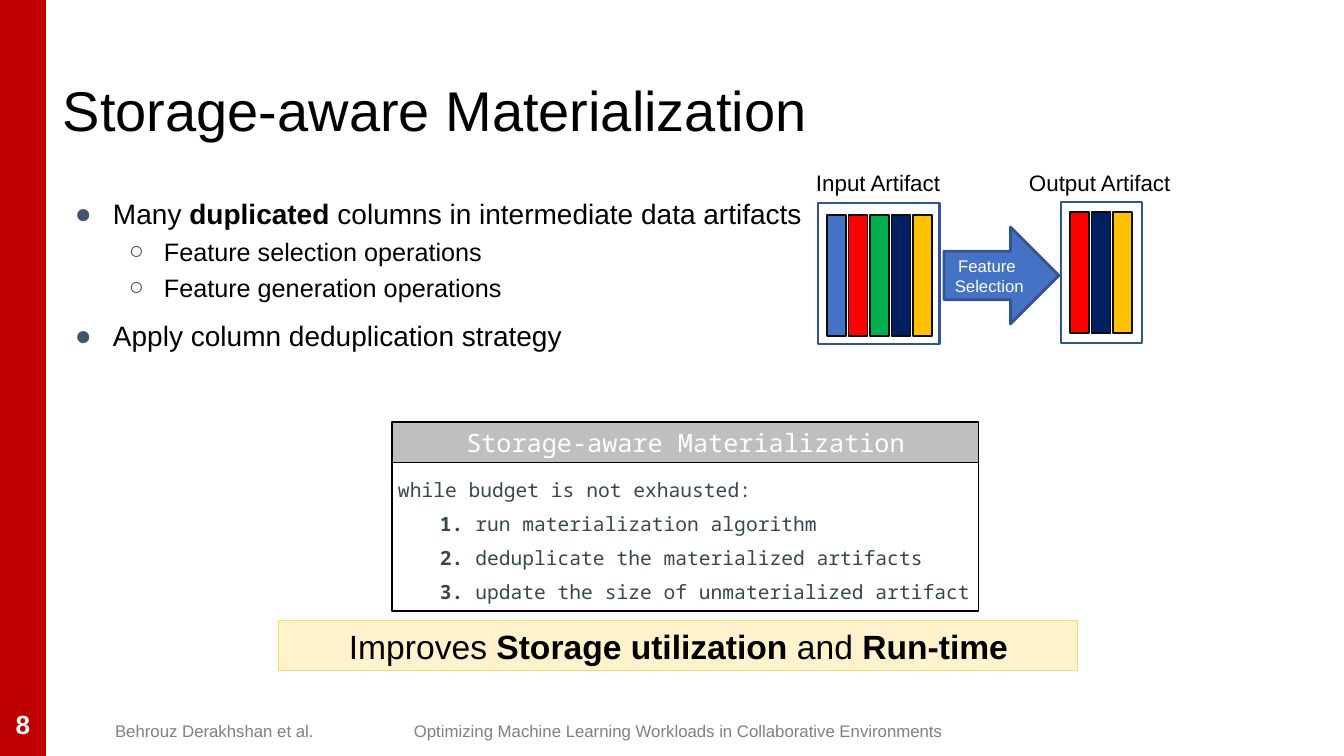
from lxml import etree
from pptx import Presentation
from pptx import util as u
from pptx.dml.color import RGBColor
from pptx.enum import shapes, text
from pptx.oxml.ns import qn

# Colours
BLACK = RGBColor(0, 0, 0)
WHITE = RGBColor(0xFF, 0xFF, 0xFF)
CRIMSON = RGBColor(0xC0, 0, 0)
GREY = RGBColor(0x80, 0x80, 0x80)
SILVER = RGBColor(0xBF, 0xBF, 0xBF)
SLATE = RGBColor(0x44, 0x54, 0x6A)
CODE = RGBColor(0x37, 0x47, 0x4F)
CREAM = RGBColor(0xFF, 0xF2, 0xCC)
GOLD = RGBColor(0xFF, 0xD9, 0x66)
NEAR_BLACK = RGBColor(0x0D, 0x0D, 0x0D)
FRAME = RGBColor(0x32, 0x54, 0x91)
BLUE = RGBColor(0x44, 0x72, 0xC4)
RED = RGBColor(0xFF, 0, 0)
GREEN = RGBColor(0, 0xB0, 0x50)
NAVY = RGBColor(0, 0x20, 0x60)
AMBER = RGBColor(0xFF, 0xC0, 0)

MONO = "Noto Sans Mono"

# Content: a paragraph is a string or a list of strings, "*" marks bold
TITLE = "Storage-aware Materialization"
BULLETS = [
    (0, ["Many ", "*duplicated", " columns in intermediate data artifacts"]),
    (1, "Feature selection operations"),
    (1, "Feature generation operations"),
    (0, "Apply column deduplication strategy"),
]
LOOP = "while budget is not exhausted:"
STEPS = [
    "run materialization algorithm",
    "deduplicate the materialized artifacts",
    "update the size of unmaterialized artifact",
]
BENEFIT = ["Improves", "* Storage utilization ", "and", "* Run-time"]
FOOTERS = [
    ("Behrouz Derakhshan et al.", (52, 711, 325, 40)),
    ("Optimizing Machine Learning Workloads in Collaborative Environments",
     (403, 711, 551, 40)),
]
# label, label box, frame, area of the columns, column colours
ARTIFACTS = [
    ("Input Artifact", (806, 164, 146, 37), (818, 203, 122, 141),
     (827, 215, 105, 121), [BLUE, RED, GREEN, NAVY, AMBER]),
    ("Output Artifact", (1019, 164, 164, 37), (1061, 202, 81, 141),
     (1070, 212, 62, 121), [RED, NAVY, AMBER]),
]
COLUMN_W = 19

# Bullet levels: size, margin, hang, line spacing, space before, character
LEVELS = [(20, 50, 38, 1.5, 0, "●"), (18, 101, 35, 1, 4, "○")]
STEP_INDENT = 42


def px(n):
    return u.Emu(round(n * 914400 / 100.8))


prs = Presentation()
prs.slide_width, prs.slide_height = px(1344), px(756)
s = prs.slides.add_slide(prs.slide_layouts[6])


def add_box(box, fill=None, line=None, weight=0.75,
            kind=shapes.MSO_SHAPE.RECTANGLE):
    sp = s.shapes.add_shape(kind, *map(px, box))
    sp.shadow.inherit = False
    if fill is None:
        sp.fill.background()
    else:
        sp.fill.solid()
        sp.fill.fore_color.rgb = fill
    if line is None:
        sp.line.fill.background()
    else:
        sp.line.color.rgb = line
        sp.line.width = u.Pt(weight)
    return sp


def write(sp, paras, size=20, color=BLACK, font="Arial", bold=False,
          align="LEFT", anchor="TOP", inset=(10, 5), spacing=1, wrap=True):
    tf = sp.text_frame
    tf.word_wrap = wrap
    tf.vertical_anchor = text.MSO_ANCHOR[anchor]
    tf.margin_left = tf.margin_right = px(inset[0])
    tf.margin_top = tf.margin_bottom = px(inset[1])
    for i, runs in enumerate(paras):
        p = tf.add_paragraph() if i else tf.paragraphs[0]
        p.alignment = text.PP_ALIGN[align]
        p.line_spacing = spacing
        for part in [runs] if isinstance(runs, str) else runs:
            r = p.add_run()
            r.text = part.removeprefix("*")
            r.font.name = font
            r.font.size = u.Pt(size)
            r.font.color.rgb = color
            r.font.bold = bold or part.startswith("*")
    return tf.paragraphs


def add_text(box, paras, **fmt):
    return write(s.shapes.add_textbox(*map(px, box)), paras, **fmt)


def set_indent(p, margin, first):
    pPr = p._p.get_or_add_pPr()
    pPr.set("marL", str(px(margin)))
    pPr.set("indent", str(px(first)))
    return pPr


def set_bullet(p, level):
    size, margin, hang, spacing, before, char = LEVELS[level]
    p.level = level
    p.line_spacing = spacing
    p.space_before = u.Pt(before)
    for r in p.runs:
        r.font.size = u.Pt(size)
    pPr = set_indent(p, margin, -hang)
    clr = etree.SubElement(pPr, qn("a:buClr"))
    etree.SubElement(clr, qn("a:srgbClr"), val=str(SLATE))
    etree.SubElement(pPr, qn("a:buFont"), typeface="Arial")
    etree.SubElement(pPr, qn("a:buChar"), char=char)


# Side bar, page number and footers
add_box((0, 0, 46, 756), fill=CRIMSON)
add_text((0, 696, 46, 57), ["8"], size=18.7, color=WHITE, bold=True,
         align="CENTER", anchor="MIDDLE", inset=(0, 0))
for footer, box in FOOTERS:
    add_text(box, [footer], size=12, color=GREY, align="CENTER",
             anchor="MIDDLE")

# Title and bullets
add_text((53, 66, 1252, 85), [TITLE], size=40, inset=(10, 10))
body = add_text((53, 170, 1252, 502), [runs for _, runs in BULLETS],
                inset=(10, 10))
for p, (level, _) in zip(body, BULLETS):
    set_bullet(p, level)

# Algorithm panel, with insets that keep each step on one line
steps = [[f"*{n}.", f" {step}"] for n, step in enumerate(STEPS, 1)]
code = write(add_box((392, 462, 587, 149), line=BLACK), [LOOP] + steps,
             size=14, color=CODE, font=MONO, inset=(6, 5), spacing=1.45)
for p in code[1:]:
    set_indent(p, 0, STEP_INDENT)
write(add_box((392, 422, 587, 41), fill=SILVER, line=BLACK), [TITLE],
      size=18, color=WHITE, font=MONO, align="CENTER", anchor="BOTTOM")

# Benefit banner
write(add_box((279, 621, 799, 50), fill=CREAM, line=GOLD), [BENEFIT],
      size=24, align="CENTER")

# Artifacts with evenly spread columns
for label, label_box, frame, (x, y, w, h), colors in ARTIFACTS:
    step = (w - COLUMN_W) / (len(colors) - 1)
    for i, color in enumerate(colors):
        add_box((x + i * step, y, COLUMN_W, h), fill=color,
                line=NEAR_BLACK, weight=1)
    add_box(frame, line=FRAME, weight=2)
    add_text(label_box, [label], size=16, wrap=False)

# Arrow between the artifacts
arrow = add_box((944, 227, 115, 97), fill=BLUE, line=FRAME, weight=2,
                kind=shapes.MSO_SHAPE.RIGHT_ARROW)
write(arrow, ["Feature ", "Selection"], size=12, color=WHITE,
      align="CENTER", anchor="MIDDLE", wrap=False)

prs.save("out.pptx")
